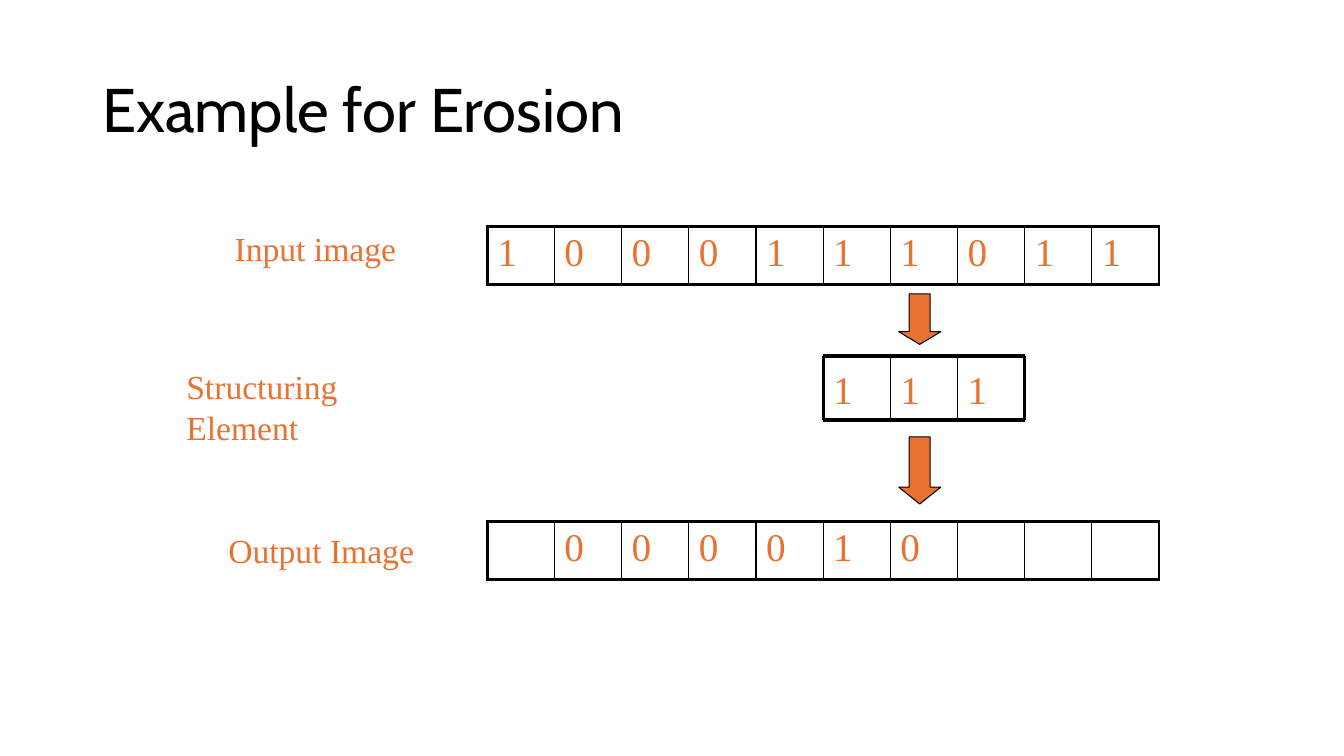
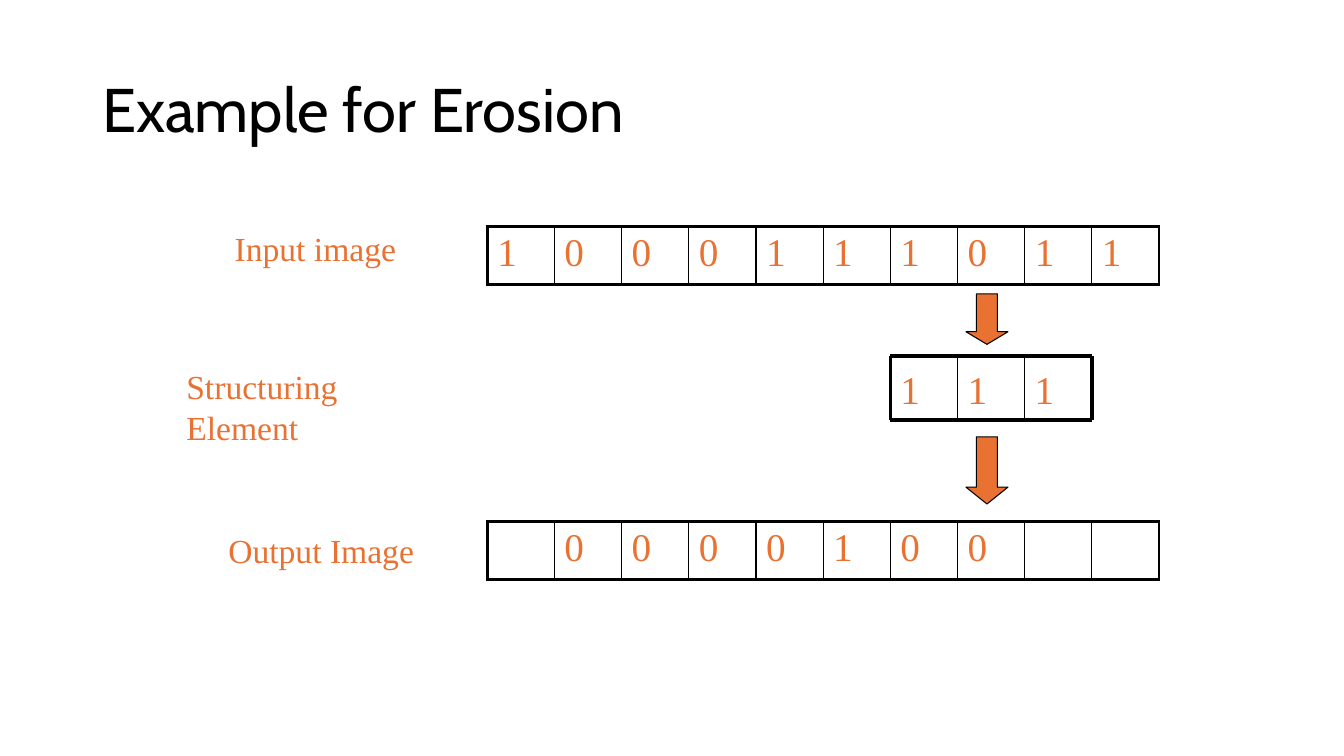
import pptx
import pptx.dml.color
import pptx.enum.shapes
import pptx.enum.text
import pptx.oxml
import pptx.oxml.ns
import pptx.util

# Shared scale, colours and text formats
PX = 9525  # EMU per px, 96 px to the inch
BLACK = pptx.dml.color.RGBColor(0x00, 0x00, 0x00)
WHITE = pptx.dml.color.RGBColor(0xFF, 0xFF, 0xFF)
ORANGE = pptx.dml.color.RGBColor(0xE9, 0x71, 0x32)
THICK, THIN = 2.25, 1

TITLE = {"name": "Cabin", "size": pptx.util.Pt(44)}
LABEL = {"name": "Times New Roman", "size": pptx.util.Pt(24)}
DIGIT = {"name": "Times New Roman", "size": pptx.util.Pt(28)}

# Shared grid: all three rows of digits use the same columns
GRID_LEFT, CELL, COLUMNS = 464, 64, 10
ROW_HEIGHT = 55
ELEMENT_TOP, ELEMENT_HEIGHT, ELEMENT_CELLS = 339, 61, 3
INPUT_TOP, OUTPUT_TOP = 216, 497
INPUT_DIGITS = "1000111011"

LABELS = [  # text, left, top, width
    ("Input image", 214, 212, 173),
    ("Structuring Element", 168, 344, 277),
    ("Output Image", 208, 500, 196),
]
ARROWS = [  # top, height, length of the head relative to the width
    (416, 64, 0.4),
    (280, 48, 0.3),
]
STEPS = [  # first column under the structuring element, output so far
    (5, " 000010   "),
    (6, " 0000100  "),
]


def write(frame, text, font_format, color):
    paragraph = frame.paragraphs[0]
    run = paragraph.add_run()
    run.text = text
    for name, value in font_format.items():
        setattr(run.font, name, value)
    run.font.color.rgb = color
    return paragraph


def add_text(slide, box, text, font_format, color, **frame_format):
    shape = slide.shapes.add_textbox(*(value * PX for value in box))
    for name, value in frame_format.items():
        setattr(shape.text_frame, name, value)
    return write(shape.text_frame, text, font_format, color)


presentation = pptx.Presentation()
presentation.slide_width = 1280 * PX
presentation.slide_height = 720 * PX

for first_column, output_digits in STEPS:
    slide = presentation.slides.add_slide(presentation.slide_layouts[6])
    slide.background.fill.solid()
    slide.background.fill.fore_color.rgb = WHITE

    # Title
    title = add_text(slide, (88, 38, 1104, 139), "Example for Erosion", TITLE, BLACK,
                     word_wrap=True, vertical_anchor=pptx.enum.text.MSO_ANCHOR.MIDDLE)
    title.line_spacing = 0.9

    # Row labels
    for text, left, top, width in LABELS:
        add_text(slide, (left, top, width, 48), text, LABEL, ORANGE, word_wrap=False)

    # Input and output rows
    for top, digits in ((INPUT_TOP, INPUT_DIGITS), (OUTPUT_TOP, output_digits)):
        table = slide.shapes.add_table(1, COLUMNS, GRID_LEFT * PX, top * PX,
                                       COLUMNS * CELL * PX, ROW_HEIGHT * PX).table
        table.first_row = table.horz_banding = False
        for column, digit in enumerate(digits):
            cell = table.cell(0, column)
            if digit.strip():
                write(cell.text_frame, digit, DIGIT, ORANGE)
            borders = {
                "lnL": THICK if column == 0 else THIN,
                "lnR": THICK if column == COLUMNS - 1 else THIN,
                "lnT": THICK,
                "lnB": THICK,
            }
            for tag, width in borders.items():
                cell._tc.get_or_add_tcPr().append(pptx.oxml.parse_xml(
                    f'<a:{tag} {pptx.oxml.ns.nsdecls("a")} w="{pptx.util.Pt(width)}">'
                    f'<a:solidFill><a:srgbClr val="{BLACK}"/></a:solidFill></a:{tag}>'))
            cell.fill.background()

    # Structuring element: digits, then its frame and dividers
    left = GRID_LEFT + first_column * CELL
    right = left + ELEMENT_CELLS * CELL
    bottom = ELEMENT_TOP + ELEMENT_HEIGHT
    for index in range(ELEMENT_CELLS):
        add_text(slide, (left + index * CELL, ELEMENT_TOP, CELL, ELEMENT_HEIGHT),
                 "1", DIGIT, ORANGE, word_wrap=True, margin_top=9 * PX)

    lines = [(left, y, right, y, THICK) for y in (ELEMENT_TOP, bottom)]
    for x in range(left, right + 1, CELL):
        lines.append((x, ELEMENT_TOP, x, bottom, THICK if x in (left, right) else THIN))
    for *ends, width in lines:
        connector = slide.shapes.add_connector(
            pptx.enum.shapes.MSO_CONNECTOR.STRAIGHT, *(value * PX for value in ends))
        connector.line.color.rgb = BLACK
        connector.line.width = pptx.util.Pt(width)
        connector._element.spPr.append(
            pptx.oxml.parse_xml(f'<a:effectLst {pptx.oxml.ns.nsdecls("a")}/>'))

    # Arrows above and below the structuring element
    for top, height, head in ARROWS:
        arrow = slide.shapes.add_shape(pptx.enum.shapes.MSO_SHAPE.DOWN_ARROW,
                                       (left + 72) * PX, top * PX, 40 * PX, height * PX)
        arrow.adjustments[0] = 0.5
        arrow.adjustments[1] = head
        arrow.shadow.inherit = False
        arrow.fill.solid()
        arrow.fill.fore_color.rgb = ORANGE
        arrow.line.color.rgb = BLACK
        arrow.line.width = pptx.util.Pt(0.75)

presentation.save("out.pptx")
